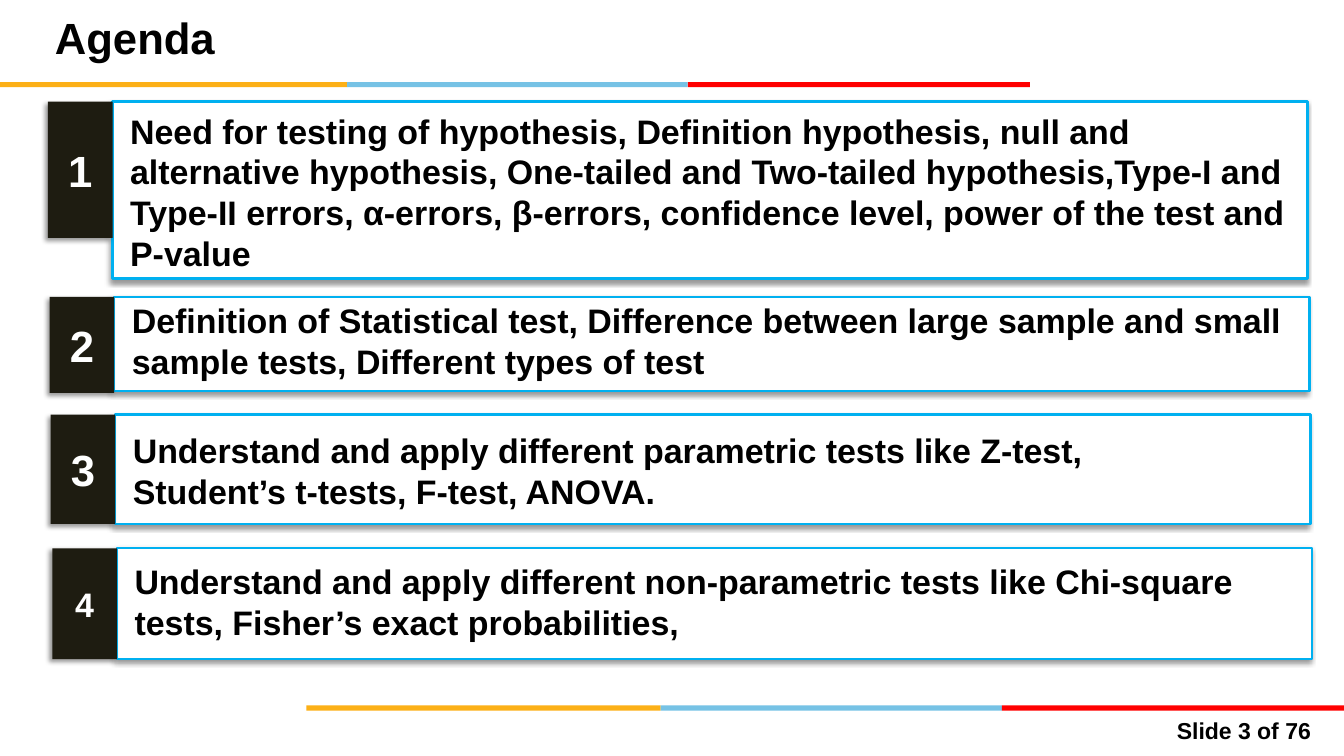
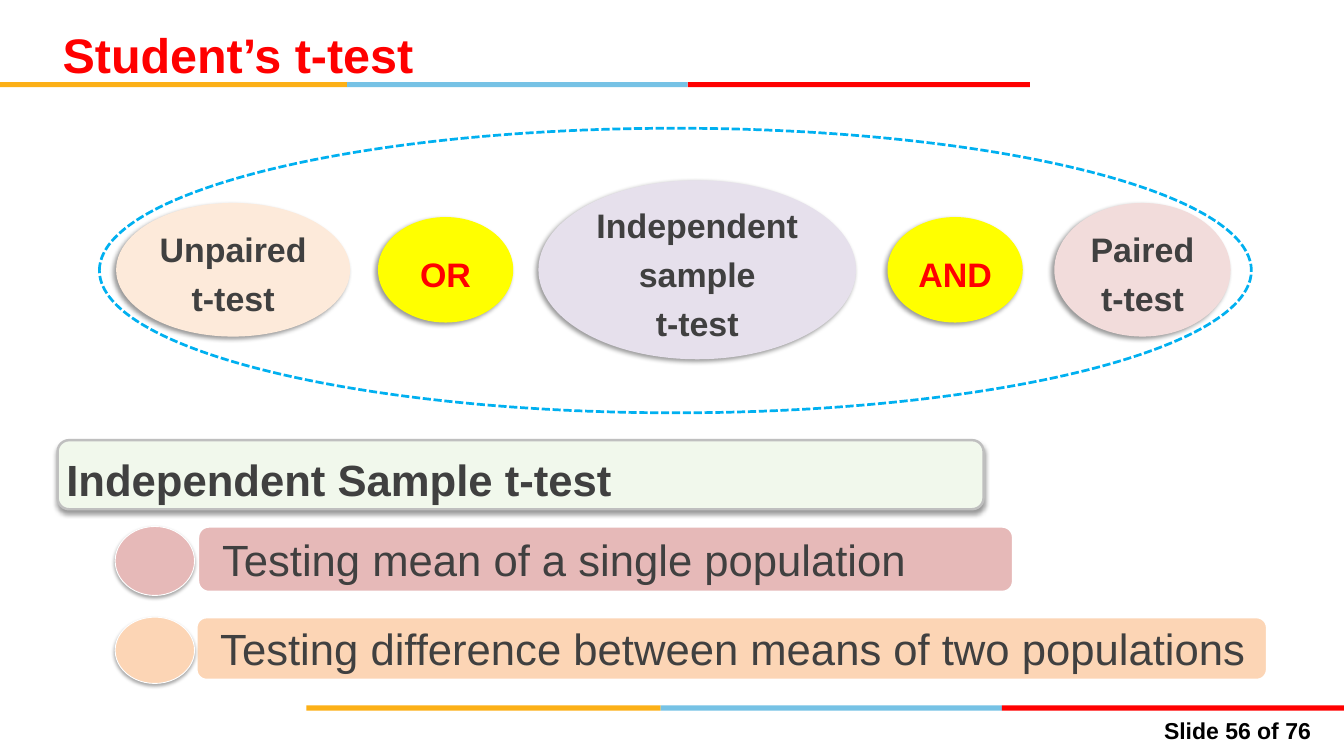
from lxml.etree import SubElement
from pptx import Presentation
from pptx.dml.color import RGBColor
from pptx.enum.dml import MSO_LINE
from pptx.enum.shapes import MSO_SHAPE
from pptx.enum.text import MSO_ANCHOR, PP_ALIGN
from pptx.oxml.ns import qn
from pptx.util import Pt

COLORS = {
    "amber": "FCB017", "sky": "76C2E5", "red": "FF0000", "black": "000000",
    "white": "FFFFFF", "cyan": "00B0F0", "dark": "1E1C11", "grey": "404040",
    "silver": "BFBFBF", "lilac": "E6E0EC", "peach": "FDEADA", "rose": "F2DCDB",
    "yellow": "FFFF00", "pink": "E6B9B8", "apricot": "FCD5B5", "mint": "F1F8EC",
}
FONT = "Arial"
WIDTH, HEIGHT = 1108.8, 623.52
TOTAL_SLIDES = 76

# Shadows: opacity %, blur, distance, direction in degrees
SIDE_SHADOW = (40, 4, 3, 135)
LOW_SHADOW = (40, 4, 3, 90)
DOT_SHADOW = (35, 3.1, 1.8, 90)

# Bands: top, then the edges of the amber, sky and red parts
BANDS = [(67.7, (0, 286.5, 567.4, 849.6)), (581.8, (252.7, 545, 826.5, WIDTH))]
BAND_COLORS = ("amber", "sky", "red")

# Agenda: left, top, badge height, card height, space above text, number size, lines
BADGE_W, CARD_W = 53.3, 986
AGENDA = [
    (39.6, 83.8, 112.5, 146, 7, 36,
     ["Need for testing of hypothesis, Definition hypothesis, null and alternative "
      "hypothesis, One-tailed and Two-tailed hypothesis,Type-I and Type-II errors, "
      "α-errors, β-errors, confidence level, power of the test and P-value"]),
    (41, 244.8, 79.2, 77.8, 2.2, 36,
     ["Definition of Statistical test, Difference between large sample and small "
      "sample tests, Different types of test"]),
    (41.8, 342, 90, 90, 12.2, 36,
     ["Understand and apply different parametric tests like Z-test,",
      "Student’s t-tests, F-test, ANOVA."]),
    (43.2, 452.2, 91.4, 91.4, 10, 28,
     ["Understand and apply different non-parametric tests like Chi-square tests, "
      "Fisher’s exact probabilities,"]),
]

# Ovals: left, width, height, fill, text colour, lines
OVAL_MIDDLE = 222.5
OVALS = [
    (95.8, 193, 110.2, "peach", "grey", ["Unpaired", "t-test"]),
    (311.8, 111.6, 87, "yellow", "red", ["OR"]),
    (444.2, 262, 147.6, "lilac", "grey", ["Independent sample", "t-test"]),
    (732.2, 111.6, 87, "yellow", "red", ["AND"]),
    (869.8, 145.4, 110.2, "rose", "grey", ["Paired", "t-test"]),
]

# Uses: left, top, width, bar height, dot height, fill, text
USES = [
    (163.4, 434.2, 672.5, 54, 56.9, "pink", "Testing mean of a single population"),
    (162, 509, 883.4, 51.8, 54.7, "apricot",
     "Testing difference between means of two populations"),
]


def rgb(name):
    return RGBColor.from_string(COLORS[name])


def write(sp, lines, size=28, color="black", bold=True, align=PP_ALIGN.LEFT,
          anchor=MSO_ANCHOR.MIDDLE, spacing=None, margins=(7.2, 3.6, 7.2, 3.6)):
    """Fill a shape with one paragraph a line; margins run left, top, right, bottom."""
    tf = sp.text_frame
    tf.word_wrap = True
    tf.vertical_anchor = anchor
    tf.margin_left, tf.margin_top, tf.margin_right, tf.margin_bottom = map(Pt, margins)
    for i, line in enumerate(lines):
        p = tf.add_paragraph() if i else tf.paragraphs[0]
        p.alignment = align
        if spacing:
            p.line_spacing = spacing
        r = p.add_run()
        r.text = line
        r.font.name, r.font.size, r.font.bold = FONT, Pt(size), bold
        r.font.color.rgb = rgb(color)


def add_text(s, box, text, **style):
    write(s.shapes.add_textbox(*map(Pt, box)), [text], **style)


def add_shape(s, kind, box, fill=None, line=None, line_w=2, shadow=None):
    sp = s.shapes.add_shape(kind, *map(Pt, box))
    if fill:
        sp.fill.solid()
        sp.fill.fore_color.rgb = rgb(fill)
    else:
        sp.fill.background()
    if line:
        sp.line.color.rgb = rgb(line)
        sp.line.width = Pt(line_w)
    else:
        sp.line.fill.background()
    sp.shadow.inherit = False
    if shadow:
        opacity, blur, dist, angle = shadow
        effects = sp.element.spPr.find(qn("a:effectLst"))
        outer = SubElement(effects, qn("a:outerShdw"), blurRad=str(int(Pt(blur))),
                           dist=str(int(Pt(dist))), dir=str(angle * 60000),
                           algn="ctr", rotWithShape="0")
        clr = SubElement(outer, qn("a:srgbClr"), val=COLORS["black"])
        SubElement(clr, qn("a:alpha"), val=str(opacity * 1000))
    return sp


def new_slide(prs, number, title, title_box, **title_style):
    s = prs.slides.add_slide(prs.slide_layouts[6])
    for top, edges in BANDS:
        for left, right, color in zip(edges, edges[1:], BAND_COLORS):
            add_shape(s, MSO_SHAPE.RECTANGLE, (left, top, right - left, 4.3), color)
    add_text(s, (926.6, 587.5, 162, 28), f"Slide {number} of {TOTAL_SLIDES}",
             size=19, align=PP_ALIGN.RIGHT, anchor=MSO_ANCHOR.TOP)
    add_text(s, title_box, title, **title_style)
    return s


def agenda_slide(prs):
    s = new_slide(prs, 3, "Agenda", (38.2, 2, 792, 57.6), size=36)
    for left, top, badge_h, card_h, pad, size, lines in AGENDA:
        card = add_shape(s, MSO_SHAPE.RECTANGLE, (left + BADGE_W, top, CARD_W, card_h),
                         "white", "cyan", shadow=SIDE_SHADOW)
        write(card, lines, anchor=MSO_ANCHOR.TOP, margins=(14.5, pad, 10, 0))
        badge = add_shape(s, MSO_SHAPE.RECTANGLE, (left, top, BADGE_W, badge_h),
                          "dark", shadow=SIDE_SHADOW)
        write(badge, [str(AGENDA.index((left, top, badge_h, card_h, pad, size, lines)) + 1)],
              size=size, color="white", align=PP_ALIGN.CENTER)


def t_test_slide(prs):
    s = new_slide(prs, 56, "Student’s t-test", (44.6, 5.8, 998, 54),
                  size=40, color="red", spacing=1.5)
    ring = add_shape(s, MSO_SHAPE.OVAL, (82, 105.8, 950.4, 234.7),
                     line="cyan", line_w=2.25)
    ring.line.dash_style = MSO_LINE.SQUARE_DOT
    for left, w, h, fill, color, lines in OVALS:
        oval = add_shape(s, MSO_SHAPE.OVAL, (left, OVAL_MIDDLE - h / 2, w, h),
                         fill, shadow=SIDE_SHADOW)
        write(oval, lines, color=color, align=PP_ALIGN.CENTER, spacing=1.2,
              margins=(0, 3.6, 0, 3.6))
    heading = add_shape(s, MSO_SHAPE.ROUNDED_RECTANGLE, (47.5, 363, 764, 57),
                        "mint", "silver", shadow=LOW_SHADOW)
    write(heading, ["Independent Sample t-test"], size=36, color="grey",
          anchor=MSO_ANCHOR.TOP, margins=(4.5, 7.3, 7.2, 0))
    for left, top, w, bar_h, dot_h, fill, text in USES:
        bar = add_shape(s, MSO_SHAPE.FLOWCHART_ALTERNATE_PROCESS,
                        (left, top, w, bar_h), fill, "white")
        write(bar, [text], size=36, color="grey", bold=False,
              margins=(17.2, 3.6, 7.2, 3.6))
        add_shape(s, MSO_SHAPE.OVAL, (95, top, 65.5, dot_h), fill, "white", 0.75,
                  shadow=DOT_SHADOW)


def main():
    prs = Presentation()
    prs.slide_width, prs.slide_height = Pt(WIDTH), Pt(HEIGHT)
    agenda_slide(prs)
    t_test_slide(prs)
    prs.save("out.pptx")


if __name__ == "__main__":
    main()
